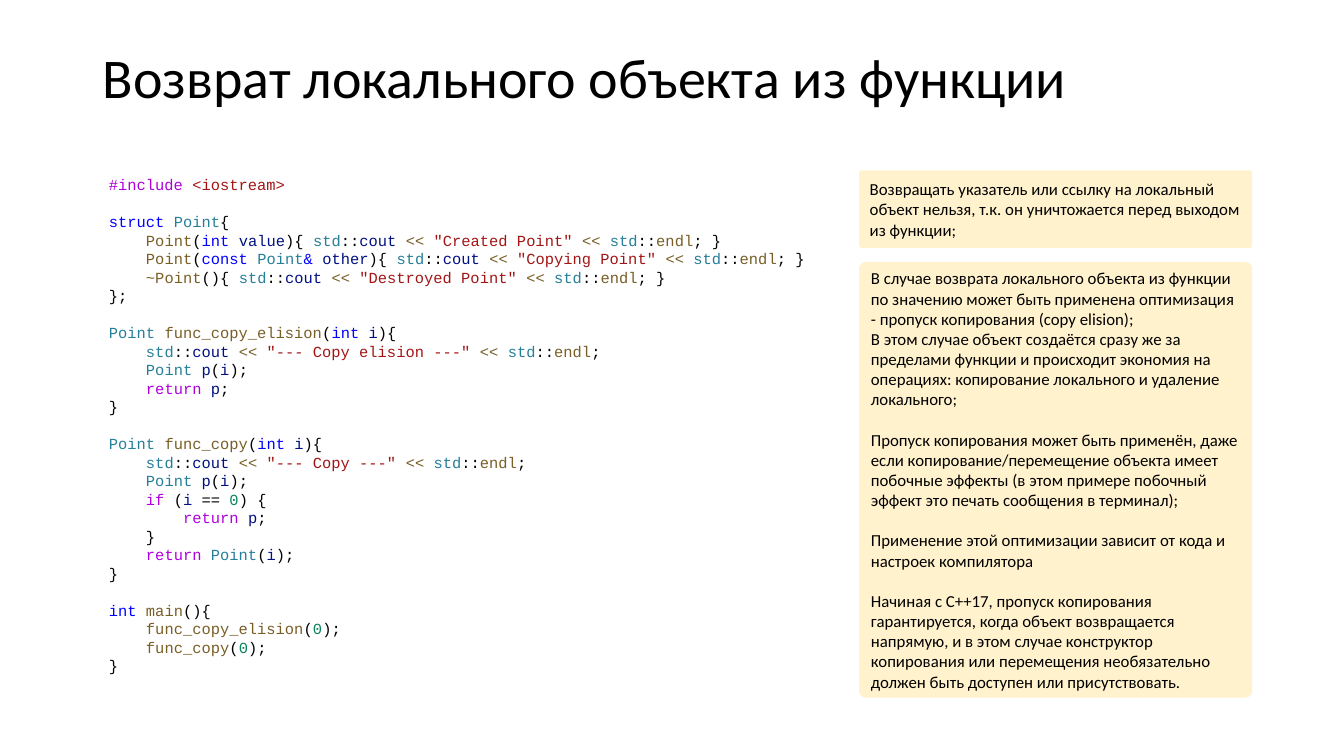
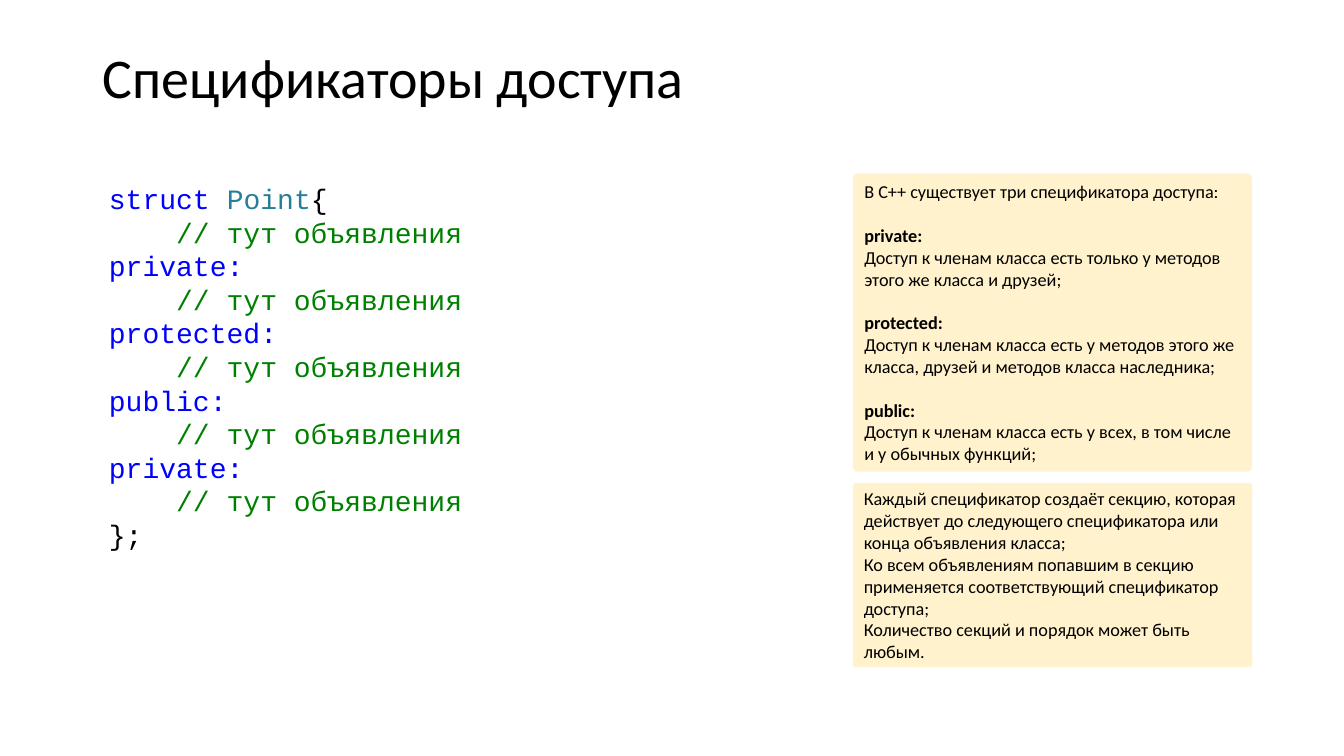
from itertools import groupby

from pptx import Presentation, util as u
from pptx.dml.color import RGBColor
from pptx.enum import shapes, text

BODY_FONT, CODE_FONT = "Calibri", "Courier New"
BLACK, NOTE_FILL = "000000", "FFF2CC"
LEFT, WIDTH = 0.92, 11.5
RIGHT = LEFT + WIDTH
LINE_HEIGHT = 1.2

DIRECTIVE, STRING, KEYWORD, TYPE = "AF00DB", "A31515", "0000FF", "267F99"
FUNCTION, VARIABLE, NUMBER, COMMENT = "795E26", "001080", "098658", "008000"
TOKEN_COLOURS = {
    **dict.fromkeys(["struct", "int", "const", "&"], KEYWORD),
    **dict.fromkeys(["return", "if"], DIRECTIVE),
    **dict.fromkeys(["Point", "std"], TYPE),
    **dict.fromkeys(["func_copy_elision", "func_copy", "main", "endl", "<<", "~"], FUNCTION),
}

SLIDES = [
    {
        "title": "Возврат локального объекта из функции",
        "code_top": 1.69, "code_height": 5.07, "code_size": 11,
        "code": """\
#include <iostream>

struct Point{
    Point(int value){ std::cout << "Created Point" << std::endl; }
    Point(const Point& other){ std::cout << "Copying Point" << std::endl; }
    ~Point(){ std::cout << "Destroyed Point" << std::endl; }
};

Point func_copy_elision(int i){
    std::cout << "--- Copy elision ---" << std::endl;
    Point p(i);
    return p;
}

Point func_copy(int i){
    std::cout << "--- Copy ---" << std::endl;
    Point p(i);
    if (i == 0) {
        return p;
    }
    return Point(i);
}

int main(){
    func_copy_elision(0);
    func_copy(0);
}""",
        "note_width": 3.9, "note_size": 12,
        "notes": [
            {"top": 1.69, "height": 0.77, "corner": 0.035, "text": """\
Возвращать указатель или ссылку на локальный объект нельзя, т.к. он уничтожается перед выходом из функции;"""},
            {"top": 2.6, "height": 4.32, "corner": 0.017, "text": """\
В случае возврата локального объекта из функции по значению может быть применена оптимизация - пропуск копирования (copy elision);
В этом случае объект создаётся сразу же за пределами функции и происходит экономия на операциях: копирование локального и удаление локального;

Пропуск копирования может быть применён, даже если копирование/перемещение объекта имеет побочные эффекты (в этом примере побочный эффект это печать сообщения в терминал);

Применение этой оптимизации зависит от кода и настроек компилятора

Начиная с C++17, пропуск копирования гарантируется, когда объект возвращается напрямую, и в этом случае конструктор копирования или перемещения необязательно должен быть доступен или присутствовать."""},
        ],
    },
    {
        "title": "Спецификаторы доступа",
        "code_top": 1.75, "code_height": 5, "code_size": 20,
        "code": """\
struct Point{
    // тут объявления
private:
    // тут объявления
protected:
    // тут объявления
public:
    // тут объявления
private:
    // тут объявления
};""",
        "note_width": 3.96, "note_size": 13,
        "notes": [
            {"top": 1.72, "height": 2.96, "corner": 0.017, "text": """\
В С++ существует три спецификатора доступа:

private:
Доступ к членам класса есть только у методов этого же класса и друзей;

protected:
Доступ к членам класса есть у методов этого же класса, друзей и методов класса наследника;

public:
Доступ к членам класса есть у всех, в том числе и у обычных функций;"""},
            {"top": 4.79, "height": 1.83, "corner": 0.017, "text": """\
Каждый спецификатор создаёт секцию, которая действует до следующего спецификатора или конца объявления класса;
Ко всем объявлениям попавшим в секцию применяется соответствующий спецификатор доступа;
Количество секций и порядок может быть любым."""},
        ],
    },
]


def rgb(hex_colour):
    return RGBColor.from_string(hex_colour)


def is_label(line):
    return line.endswith(":") and " " not in line


def token_kind(char):
    return "word" if char.isalnum() or char == "_" else char


def token_colour(token, before, after):
    if token == "Point" and before.strip() in ("", "~") and after.startswith("("):
        return FUNCTION  # constructor or destructor
    if token in TOKEN_COLOURS:
        return TOKEN_COLOURS[token]
    if token.isdigit():
        return NUMBER
    return VARIABLE if token.isidentifier() else BLACK


def highlight(line):
    """Split a C++ line into (text, colour) runs."""
    if line.lstrip().startswith("//"):
        return [(line, COMMENT)]
    if is_label(line):
        return [(line, KEYWORD)]
    if line.startswith("#"):
        directive, header = line.split()
        return [(directive + " ", DIRECTIVE), (header, STRING)]
    tokens, before = [], ""
    for i, part in enumerate(line.split('"')):
        quoted = i % 2 == 1
        pieces = [f'"{part}"'] if quoted else ["".join(g) for _, g in groupby(part, token_kind)]
        for piece in pieces:
            if quoted:
                colour = STRING
            elif piece.isspace():
                colour = tokens[-1][1] if tokens else BLACK
            else:
                colour = token_colour(piece, before, line[len(before) + len(piece):])
            tokens.append((piece, colour))
            before += piece
    return [("".join(piece for piece, _ in run), colour)
            for colour, run in groupby(tokens, lambda token: token[1])]


def write(frame, content, *, size, font=BODY_FONT, runs_of=None, anchor="MIDDLE",
          spacing=None, inset=0.1):
    """Fill a frame line by line; an empty line becomes space before the next one."""
    frame.word_wrap = True
    frame.auto_size = text.MSO_AUTO_SIZE.NONE
    frame.vertical_anchor = text.MSO_ANCHOR[anchor]
    frame.margin_left, frame.margin_right = u.Inches(inset), u.Inches(0.1)
    frame.margin_top = frame.margin_bottom = u.Inches(0.05)
    line_height = u.Pt(size * LINE_HEIGHT)
    gap, first = 0, True
    for line in content.splitlines():
        if not line:
            gap += line_height
            continue
        paragraph = frame.paragraphs[0] if first else frame.add_paragraph()
        properties = paragraph._p.get_or_add_pPr()
        properties.set("marL", "0")
        properties.set("indent", "0")
        paragraph.alignment = text.PP_ALIGN.LEFT
        paragraph.line_spacing = spacing or line_height
        paragraph.space_before, paragraph.space_after = u.Emu(gap), u.Pt(0)
        properties.append(properties.makeelement(
            "{http://schemas.openxmlformats.org/drawingml/2006/main}buNone", {}))
        for words, colour in runs_of(line) if runs_of else [(line, BLACK)]:
            run = paragraph.add_run()
            run.text = words
            run.font.name, run.font.size = font, u.Pt(size)
            run.font.bold = runs_of is None and is_label(line)
            run.font.color.rgb = rgb(colour)
        gap, first = 0, False


def place(item, left, top, width, height):
    item.left, item.top, item.width, item.height = map(u.Inches, (left, top, width, height))


def add_note(slide, note, width, size):
    box = slide.shapes.add_shape(
        shapes.MSO_SHAPE.ROUNDED_RECTANGLE,
        *map(u.Inches, (RIGHT - width, note["top"], width, note["height"])))
    box.adjustments[0] = note["corner"]
    box.shadow.inherit = False
    box.fill.solid()
    box.fill.fore_color.rgb = rgb(NOTE_FILL)
    box.line.fill.background()
    write(box.text_frame, note["text"], size=size)


def build_slide(deck, layout, content):
    slide = deck.slides.add_slide(layout)
    write(slide.shapes.title.text_frame, content["title"], size=40, spacing=0.9)
    listing = slide.placeholders[1]
    place(listing, LEFT, content["code_top"], WIDTH, content["code_height"])
    write(listing.text_frame, content["code"], size=content["code_size"], font=CODE_FONT,
          runs_of=highlight, anchor="TOP", inset=0.16)
    for note in content["notes"]:
        add_note(slide, note, content["note_width"], content["note_size"])


def main():
    deck = Presentation()
    deck.slide_width, deck.slide_height = u.Inches(13.33), u.Inches(7.5)
    layout = deck.slide_layouts[1]
    place(layout.placeholders[0], LEFT, 0.4, WIDTH, 0.79)
    for content in SLIDES:
        build_slide(deck, layout, content)
    deck.save("out.pptx")


if __name__ == "__main__":
    main()
